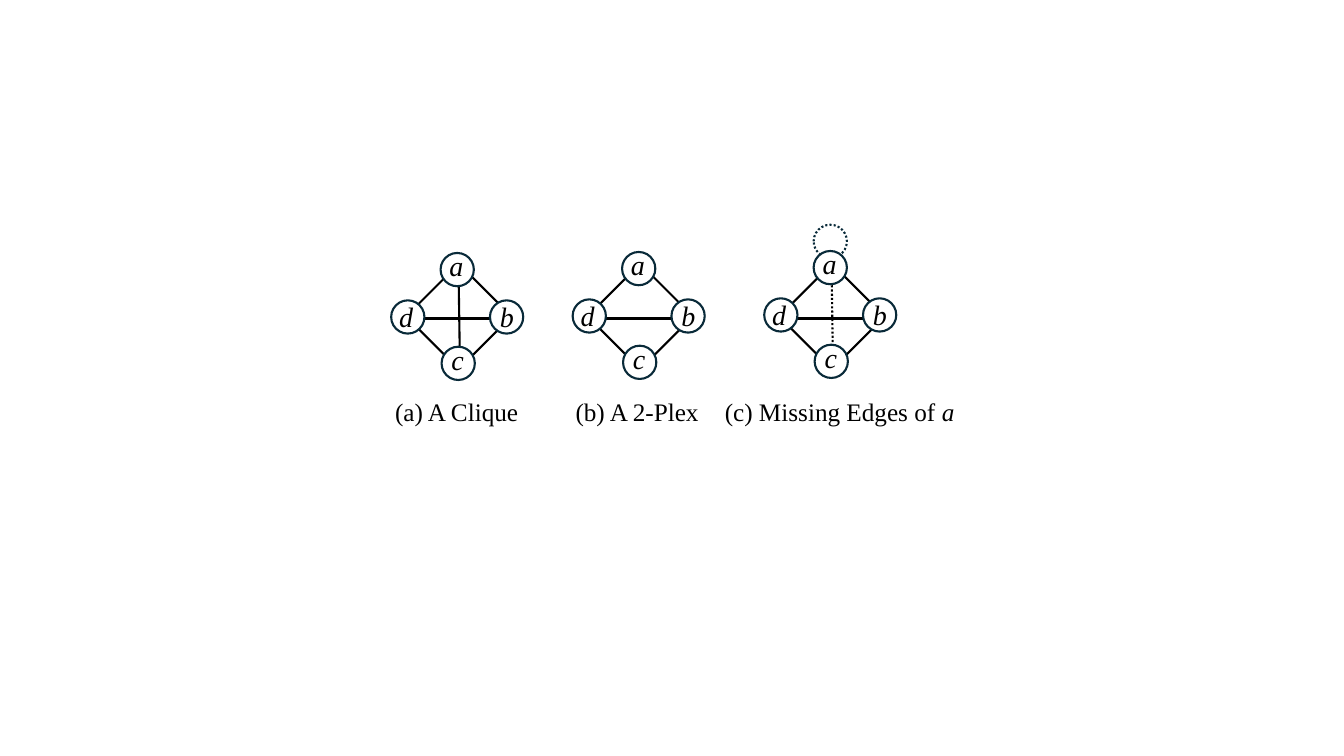
from lxml.etree import SubElement
from pptx import Presentation
from pptx.dml.color import RGBColor
from pptx.enum.dml import MSO_LINE_DASH_STYLE as Dash
from pptx.enum.shapes import MSO_CONNECTOR, MSO_SHAPE
from pptx.enum.text import MSO_AUTO_SIZE
from pptx.oxml.ns import qn
from pptx.util import Inches, Pt

# Content: left and top of each graph, style of the edge a-c, self-loop, caption
GRAPHS = [
    {"left": 3.88, "top": 2.51, "edge_ac": "solid", "loop": False,
     "caption": [("(a) A Clique", False)], "caption_left": 3.82, "caption_width": 1.43},
    {"left": 5.68, "top": 2.5, "edge_ac": None, "loop": False,
     "caption": [("(b) A 2-Plex", False)], "caption_left": 5.61, "caption_width": 1.46},
    {"left": 7.58, "top": 2.49, "edge_ac": "dotted", "loop": True,
     "caption": [("(c) Missing Edges of ", False), ("a", True)],
     "caption_left": 7.09, "caption_width": 2.49},
]
# Node offset in its graph, then label offset in its node
NODES = {
    "a": ((0.49, 0), (-0.01, -0.09)),
    "c": ((0.5, 0.93), (0, -0.09)),
    "b": ((0.98, 0.47), (0, -0.06)),
    "d": ((0, 0.47), (-0.02, -0.06)),
}
COLORS = {"edge": "000000", "node": "092A39", "fill": "FFFFFF", "text": "000000"}
FONT = "Times New Roman"
NODE_SIZE, DIAMOND_SIZE = 0.33, 0.74
DIAMOND_TOP, EDGE_Y, CAPTION_TOP = 2.77, 3.16, 3.88


def rgb(name):
    return RGBColor.from_string(COLORS[name])


def style_line(line, color, dotted=False):
    line.color.rgb = rgb(color)
    line.width = Pt(1.5)
    if dotted:
        line.dash_style = Dash.ROUND_DOT


def add_edge(x1, y1, x2, y2, dotted=False):
    edge = slide.shapes.add_connector(
        MSO_CONNECTOR.STRAIGHT, Inches(x1), Inches(y1), Inches(x2), Inches(y2))
    style_line(edge.line, "edge", dotted)
    SubElement(edge._element.spPr, qn("a:effectLst"))


def add_circle(shapes, left, top, dotted=False):
    circle = shapes.add_shape(MSO_SHAPE.OVAL, Inches(left), Inches(top),
                              Inches(NODE_SIZE), Inches(NODE_SIZE))
    circle.shadow.inherit = False
    circle.fill.solid()
    circle.fill.fore_color.rgb = rgb("fill")
    style_line(circle.line, "node", dotted)


def add_text(shapes, left, top, width, height, runs, size, wrap):
    box = shapes.add_textbox(Inches(left), Inches(top), Inches(width), Inches(height))
    text_frame = box.text_frame
    text_frame.word_wrap = wrap
    text_frame.auto_size = MSO_AUTO_SIZE.SHAPE_TO_FIT_TEXT
    for text, italic in runs:
        run = text_frame.paragraphs[0].add_run()
        run.text = text
        run.font.name = FONT
        run.font.size = Pt(size)
        run.font.italic = italic
        run.font.color.rgb = rgb("text")


presentation = Presentation()
presentation.slide_width, presentation.slide_height = Inches(13.33), Inches(7.5)
slide = presentation.slides.add_slide(presentation.slide_layouts[6])

for graph in GRAPHS:
    left, top = graph["left"], graph["top"]

    # Edges across the middle
    add_edge(left + 0.27, EDGE_Y, left + 1, EDGE_Y)
    if graph["edge_ac"]:
        add_edge(left + 0.67, 2.83, left + 0.68, 3.49, graph["edge_ac"] == "dotted")

    # Missing self-loop above node a
    if graph["loop"]:
        add_circle(slide.shapes, left + 0.49, 2.23, dotted=True)

    # Outer edges as a turned square
    diamond = slide.shapes.add_shape(
        MSO_SHAPE.RECTANGLE, Inches(left + 0.3), Inches(DIAMOND_TOP),
        Inches(DIAMOND_SIZE), Inches(DIAMOND_SIZE))
    diamond.rotation = 45
    diamond.shadow.inherit = False
    diamond.fill.background()
    style_line(diamond.line, "edge")

    # Nodes, each grouped with its label
    for label, ((node_x, node_y), (label_x, label_y)) in NODES.items():
        x, y = left + node_x, top + node_y
        group = slide.shapes.add_group_shape()
        add_circle(group.shapes, x, y)
        add_text(group.shapes, x + label_x, y + label_y, 0.34, 0.44,
                 [(label, True)], 20, False)

    # Caption
    add_text(slide.shapes, graph["caption_left"], CAPTION_TOP,
             graph["caption_width"], 0.4, graph["caption"], 18, True)

presentation.save("out.pptx")
